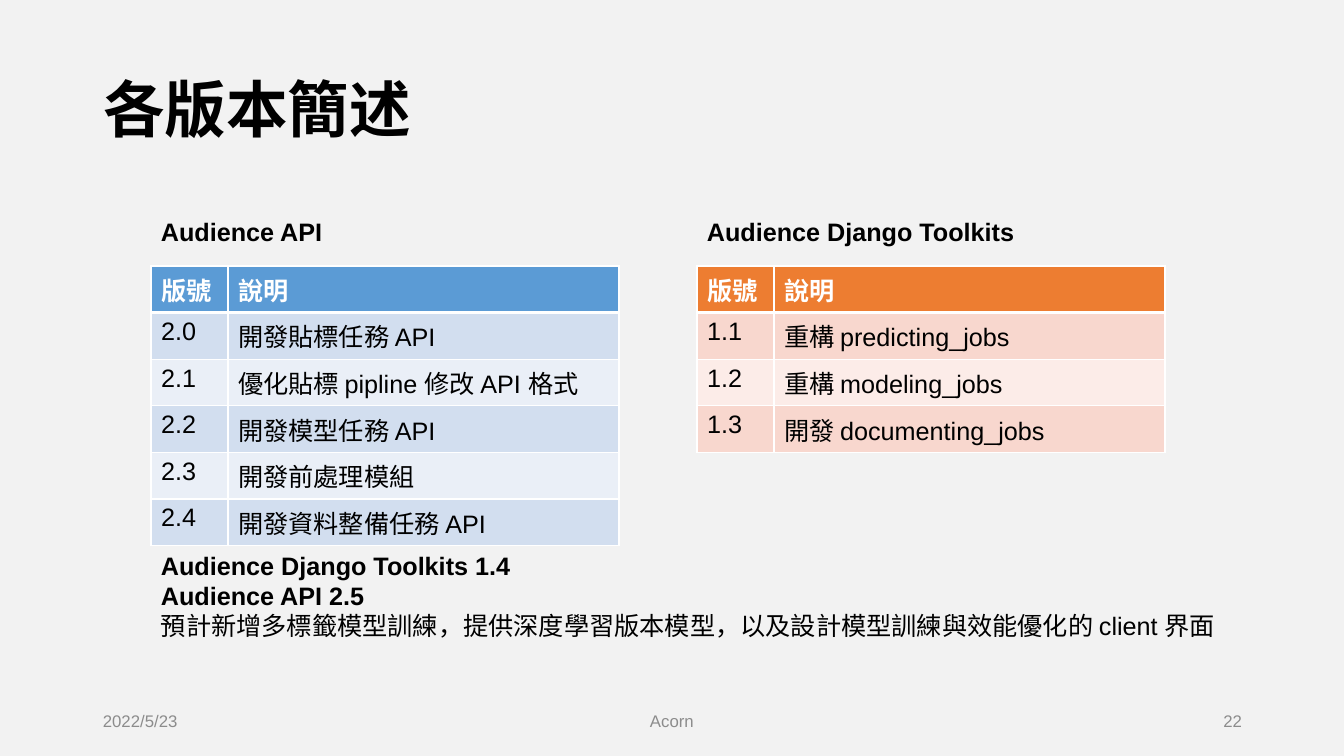
"""Build the slide that summarises each release."""
from lxml.etree import SubElement
from pptx import Presentation
from pptx.dml.color import RGBColor
from pptx.enum.text import MSO_ANCHOR, MSO_AUTO_SIZE, PP_ALIGN
from pptx.oxml.ns import qn
from pptx.util import Emu, Pt

PIXELS_PER_INCH = 100.8
BACKGROUND = RGBColor(0xF2, 0xF2, 0xF2)
BLACK = RGBColor(0, 0, 0)
WHITE = RGBColor(0xFF, 0xFF, 0xFF)
GRAY = RGBColor(0x8C, 0x8C, 0x8C)
BLUES = (RGBColor(0x5B, 0x9B, 0xD5), RGBColor(0xD2, 0xDE, 0xEF), RGBColor(0xEA, 0xEF, 0xF7))
ORANGES = (RGBColor(0xED, 0x7D, 0x31), RGBColor(0xF8, 0xD7, 0xCE), RGBColor(0xFC, 0xEC, 0xE8))

LEFT_TABLE, RIGHT_TABLE = 151, 697
HEADING_TOP, TABLE_TOP, FOOTER_TOP = 211, 266, 701
COLUMN_WIDTHS = (77, 391)
ROW_HEIGHT = 41
HEADER = ("版號", "說明")
API_VERSIONS = (
    ("2.0", "開發貼標任務 API"),
    ("2.1", "優化貼標 pipline 修改 API 格式"),
    ("2.2", "開發模型任務 API"),
    ("2.3", "開發前處理模組"),
    ("2.4", "開發資料整備任務 API"),
)
TOOLKIT_VERSIONS = (
    ("1.1", "重構 predicting_jobs"),
    ("1.2", "重構 modeling_jobs"),
    ("1.3", "開發 documenting_jobs"),
)
PLAN = (
    "Audience Django Toolkits 1.4",
    "Audience API 2.5",
    "預計新增多標籤模型訓練，提供深度學習版本模型，以及設計模型訓練與效能優化的 client 界面",
)
FOOTERS = (
    (93, 302, "2022/5/23", PP_ALIGN.LEFT),
    (445, 454, "Acorn", PP_ALIGN.CENTER),
    (950, 302, "22", PP_ALIGN.RIGHT),
)


def px(length):
    """Turn pixels into EMU."""
    return Emu(round(length * 914400 / PIXELS_PER_INCH))


def format_paragraph(paragraph, size, color, bold=False, name="Arial"):
    """Set the font of every run in a paragraph."""
    for run in paragraph.runs:
        run.font.size = Pt(size)
        run.font.name = name
        run.font.bold = bold
        run.font.color.rgb = color


def set_title(slide, text):
    """Fill and place the title placeholder."""
    title = slide.shapes.title
    title.left, title.top, title.width, title.height = px(93), px(40), px(1159), px(146)
    frame = title.text_frame
    frame.text = text
    frame.auto_size = MSO_AUTO_SIZE.NONE
    frame.vertical_anchor = MSO_ANCHOR.MIDDLE
    paragraph = frame.paragraphs[0]
    paragraph.alignment = PP_ALIGN.LEFT
    paragraph.line_spacing = 0.9
    format_paragraph(paragraph, 44, BLACK, True, "Montserrat")


def add_text(slide, left, top, width, height, lines, size=18, color=BLACK,
             bold_lines=0, alignment=PP_ALIGN.LEFT, anchor=MSO_ANCHOR.TOP):
    """Add a text box whose first bold_lines paragraphs are bold."""
    frame = slide.shapes.add_textbox(px(left), px(top), px(width), px(height)).text_frame
    frame.word_wrap = True
    frame.vertical_anchor = anchor
    frame.text = "\n".join(lines)
    for index, paragraph in enumerate(frame.paragraphs):
        paragraph.alignment = alignment
        format_paragraph(paragraph, size, color, index < bold_lines)


def set_borders(cell, top, bottom):
    """Draw white borders, with top and bottom widths in points."""
    properties = cell._tc.get_or_add_tcPr()
    for side, width in (("L", 1), ("R", 1), ("T", top), ("B", bottom)):
        line = SubElement(properties, qn(f"a:ln{side}"), w=str(Pt(width)))
        fill = SubElement(line, qn("a:solidFill"))
        SubElement(fill, qn("a:srgbClr"), val=str(WHITE))


def add_version_table(slide, left, versions, colors):
    """Add a table of versions with a coloured header and banded rows."""
    rows = (HEADER, *versions)
    header_color, *bands = colors
    table = slide.shapes.add_table(
        len(rows), len(HEADER), px(left), px(TABLE_TOP),
        px(sum(COLUMN_WIDTHS)), px(ROW_HEIGHT * len(rows))).table
    for column, width in zip(table.columns, COLUMN_WIDTHS):
        column.width = px(width)
    for row_index, row in enumerate(rows):
        is_header = row_index == 0
        for column_index, text in enumerate(row):
            cell = table.cell(row_index, column_index)
            set_borders(cell, 3 if row_index == 1 else 1, 3 if is_header else 1)
            cell.fill.solid()
            cell.fill.fore_color.rgb = header_color if is_header else bands[(row_index - 1) % 2]
            cell.text_frame.text = text
            format_paragraph(cell.text_frame.paragraphs[0], 18,
                             WHITE if is_header else BLACK, is_header)


def main():
    """Build and save the presentation."""
    presentation = Presentation()
    presentation.slide_width, presentation.slide_height = px(1344), px(756)
    slide = presentation.slides.add_slide(presentation.slide_layouts[5])
    slide.background.fill.solid()
    slide.background.fill.fore_color.rgb = BACKGROUND

    set_title(slide, "各版本簡述")
    add_version_table(slide, LEFT_TABLE, API_VERSIONS, BLUES)
    add_version_table(slide, RIGHT_TABLE, TOOLKIT_VERSIONS, ORANGES)
    add_text(slide, LEFT_TABLE, HEADING_TOP, 274, 40, ["Audience API"], bold_lines=1)
    add_text(slide, RIGHT_TABLE, HEADING_TOP, 370, 40, ["Audience Django Toolkits"], bold_lines=1)
    add_text(slide, LEFT_TABLE, 545, 1101, 101, PLAN, bold_lines=2)
    for left, width, text, alignment in FOOTERS:
        add_text(slide, left, FOOTER_TOP, width, 40, [text], 12, GRAY,
                 alignment=alignment, anchor=MSO_ANCHOR.MIDDLE)
    presentation.save("out.pptx")


if __name__ == "__main__":
    main()
